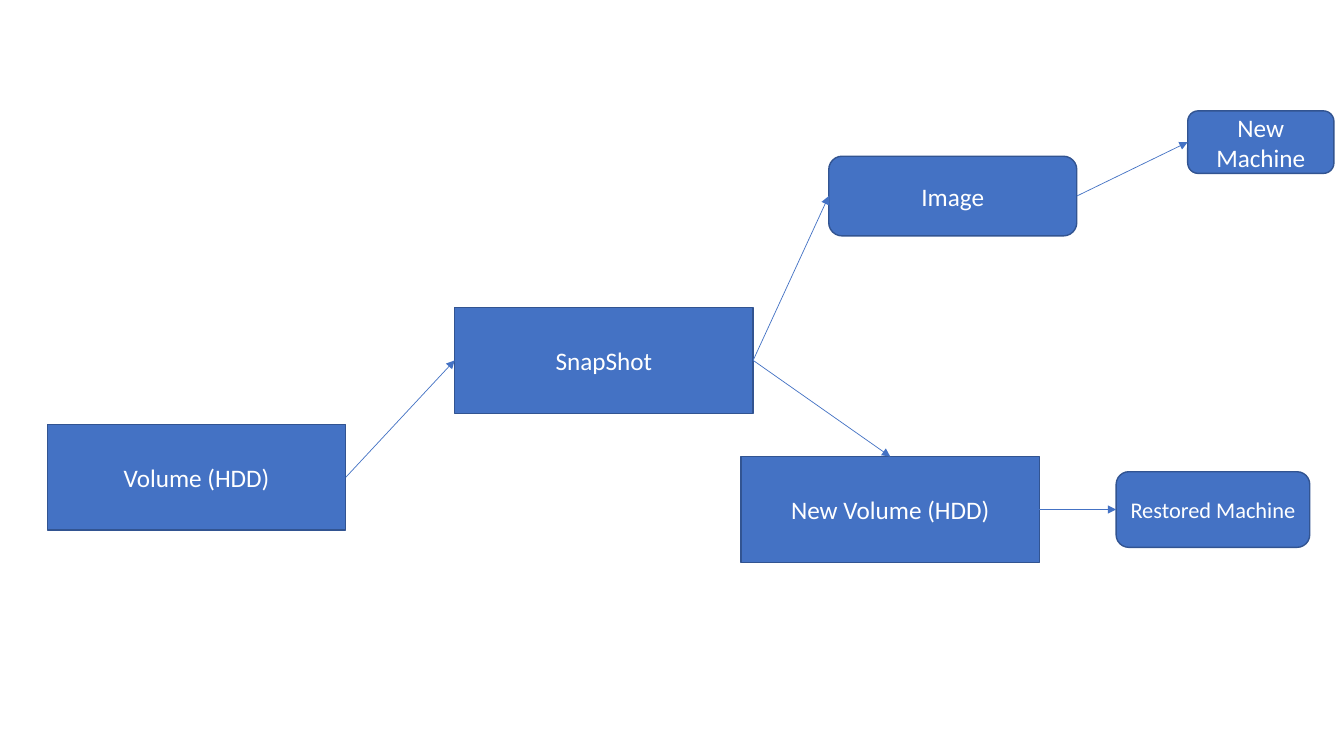
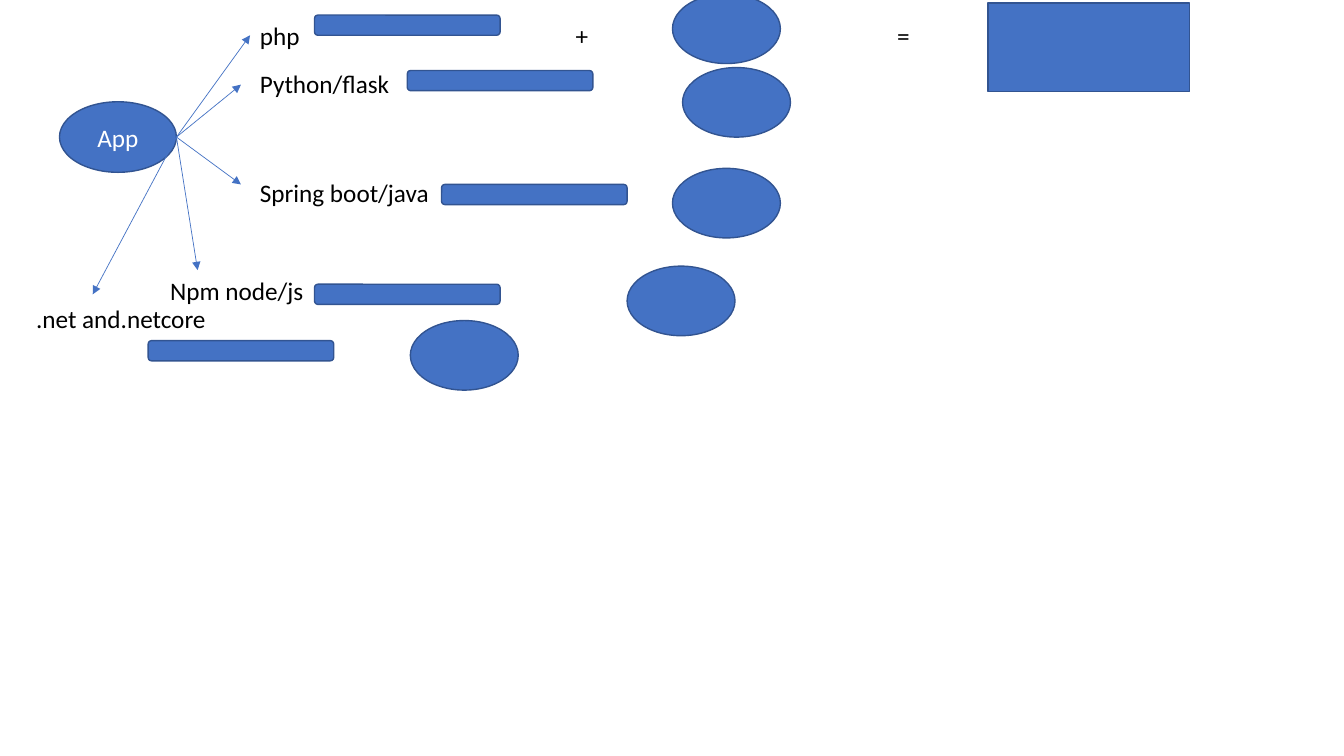
from dataclasses import dataclass

from lxml import etree
from pptx import Presentation
from pptx import util as u
from pptx.dml.color import RGBColor
from pptx.enum import shapes, text
from pptx.oxml.ns import qn


@dataclass(frozen=True)
class Theme:
    fill: RGBColor = RGBColor.from_string("4472C4")
    outline: RGBColor = RGBColor.from_string("325491")
    on_fill: RGBColor = RGBColor.from_string("FFFFFF")
    ink: RGBColor = RGBColor.from_string("000000")
    font: str = "Calibri"
    size: int = 18
    small: int = 16
    border: float = 1
    arrow: float = 0.5


theme = Theme()
PX = u.Inches(0.01)
RECT = shapes.MSO_SHAPE.RECTANGLE
ROUND = shapes.MSO_SHAPE.ROUNDED_RECTANGLE
OVAL = shapes.MSO_SHAPE.OVAL


def add_block(slide, content, box, kind=None, size=theme.size):
    place = [n * PX for n in box]
    if kind is None:
        block = slide.shapes.add_textbox(*place)
        color, align = theme.ink, text.PP_ALIGN.LEFT
        block.text_frame.auto_size = text.MSO_AUTO_SIZE.SHAPE_TO_FIT_TEXT
    else:
        block = slide.shapes.add_shape(kind, *place)
        color, align = theme.on_fill, text.PP_ALIGN.CENTER
        block.shadow.inherit = False
        block.fill.solid()
        block.fill.fore_color.rgb = theme.fill
        block.line.color.rgb = theme.outline
        block.line.width = u.Pt(theme.border)
        block.text_frame.vertical_anchor = text.MSO_ANCHOR.MIDDLE
    block.text_frame.word_wrap = True
    if content:
        paragraph = block.text_frame.paragraphs[0]
        paragraph.alignment = align
        run = paragraph.add_run()
        run.text = content
        run.font.name = theme.font
        run.font.size = u.Pt(size)
        run.font.color.rgb = color
    return block


def add_arrow(slide, start=(0, 0), end=(0, 0)):
    arrow = slide.shapes.add_connector(
        shapes.MSO_CONNECTOR.STRAIGHT, *[n * PX for n in (*start, *end)])
    arrow.line.color.rgb = theme.fill
    arrow.line.width = u.Pt(theme.arrow)
    etree.SubElement(arrow.line._get_or_add_ln(), qn("a:tailEnd"), type="triangle")
    etree.SubElement(arrow._element.spPr, qn("a:effectLst"))
    return arrow


deck = Presentation()
deck.slide_width, deck.slide_height = 1333 * PX, 750 * PX
blank = deck.slide_layouts[6]

backup = deck.slides.add_slide(blank)
VOLUME_SIZE = (296, 105)
volume = add_block(backup, "Volume (HDD)", (47, 421, *VOLUME_SIZE), RECT)
snapshot = add_block(backup, "SnapShot", (451, 305, *VOLUME_SIZE), RECT)
new_volume = add_block(backup, "New Volume (HDD)", (735, 453, *VOLUME_SIZE), RECT)
restored = add_block(backup, "Restored Machine", (1107, 468, 192, 75), ROUND, size=theme.small)
image = add_block(backup, "Image", (822, 155, 246, 79), ROUND)
new_machine = add_block(backup, "New Machine", (1178, 110, 145, 62), ROUND)

TOP, LEFT, RIGHT = 0, 1, 3
for source, target, side in [
    (volume, snapshot, LEFT),
    (snapshot, new_volume, TOP),
    (new_volume, restored, LEFT),
    (snapshot, image, LEFT),
    (image, new_machine, LEFT),
]:
    flow = add_arrow(backup)
    flow.begin_connect(source, RIGHT)
    flow.end_connect(target, side)

stacks = deck.slides.add_slide(blank)
add_block(stacks, "App", (59, 101, 116, 70), OVAL)
APP_EXIT = (175, 136)
LABEL_HEIGHT = 40
for stack, label, arrow_end, bar, oval in [
    ("php", (248, 15, 141), (248, 35), (312, 15), (667, -6)),
    ("Python/flask", (248, 63, 176), (239, 84), (404, 70), (677, 67)),
    ("Spring boot/java", (248, 171, 266), (239, 183), (438, 183), (667, 167)),
    ("Npm node/js", (159, 268, 266), (196, 268), (312, 282), (622, 264)),
    (".net and.netcore", (26, 296, 266), (92, 292), (147, 338), (407, 318)),
]:
    add_arrow(stacks, APP_EXIT, arrow_end)
    add_block(stacks, stack, (*label, LABEL_HEIGHT))
    add_block(stacks, "", (*bar, 184, 20), ROUND)
    add_block(stacks, "", (*oval, 107, 69), OVAL)

add_block(stacks, "+", (561, 15, 42, LABEL_HEIGHT))
add_block(stacks, "=", (880, 15, 94, LABEL_HEIGHT))
add_block(stacks, "", (980, 3, 200, 88), RECT)

deck.save("out.pptx")
